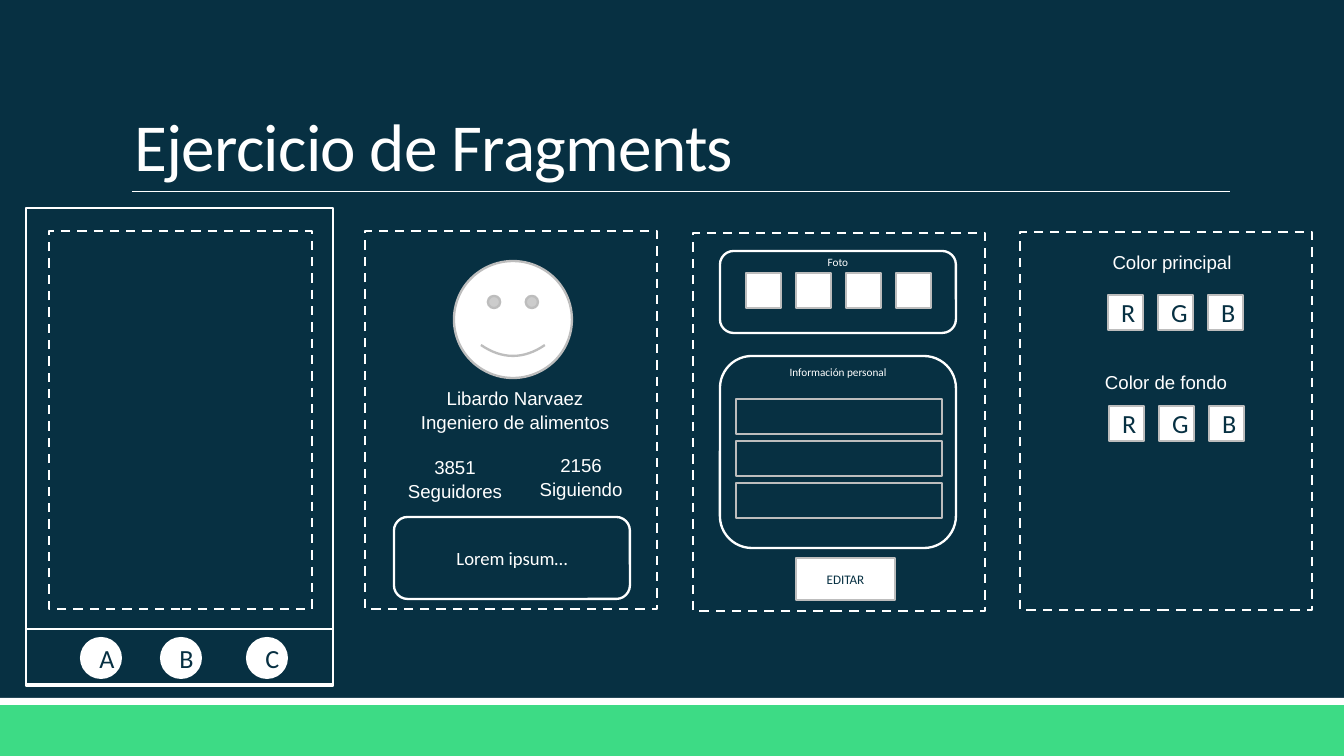
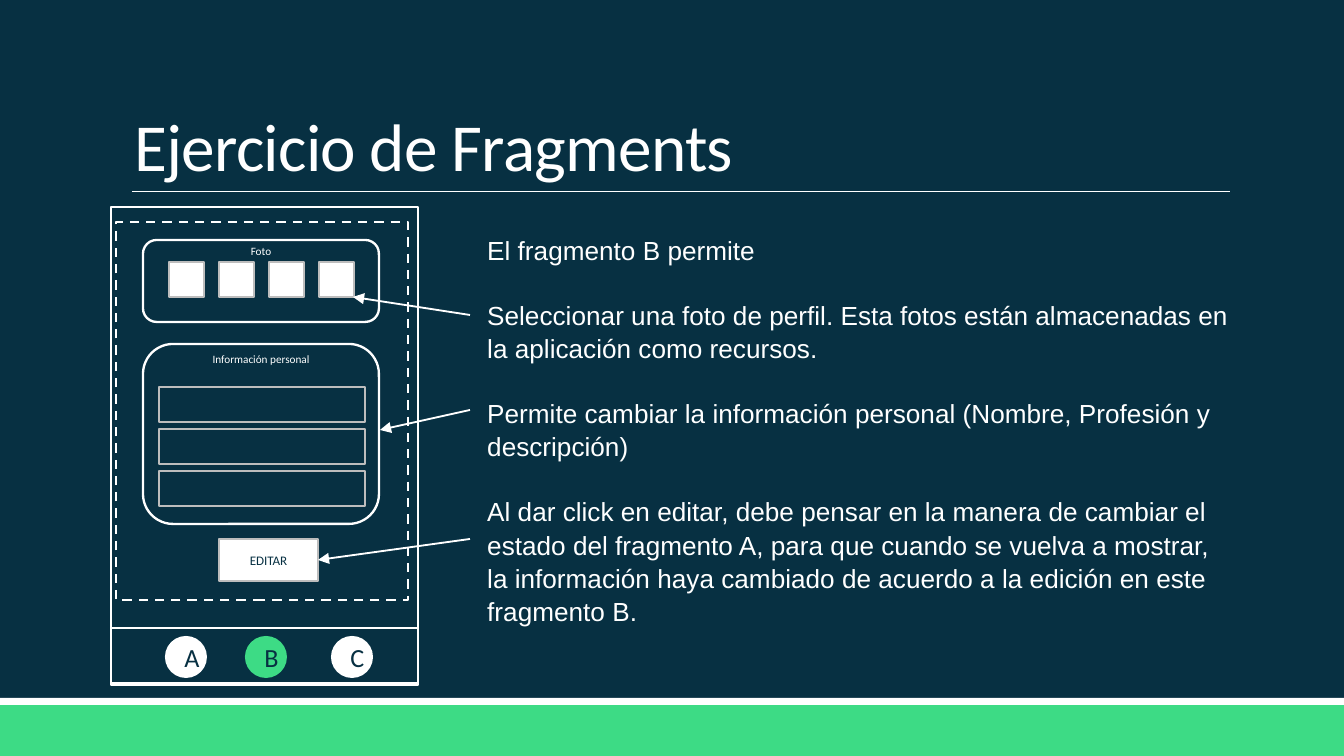
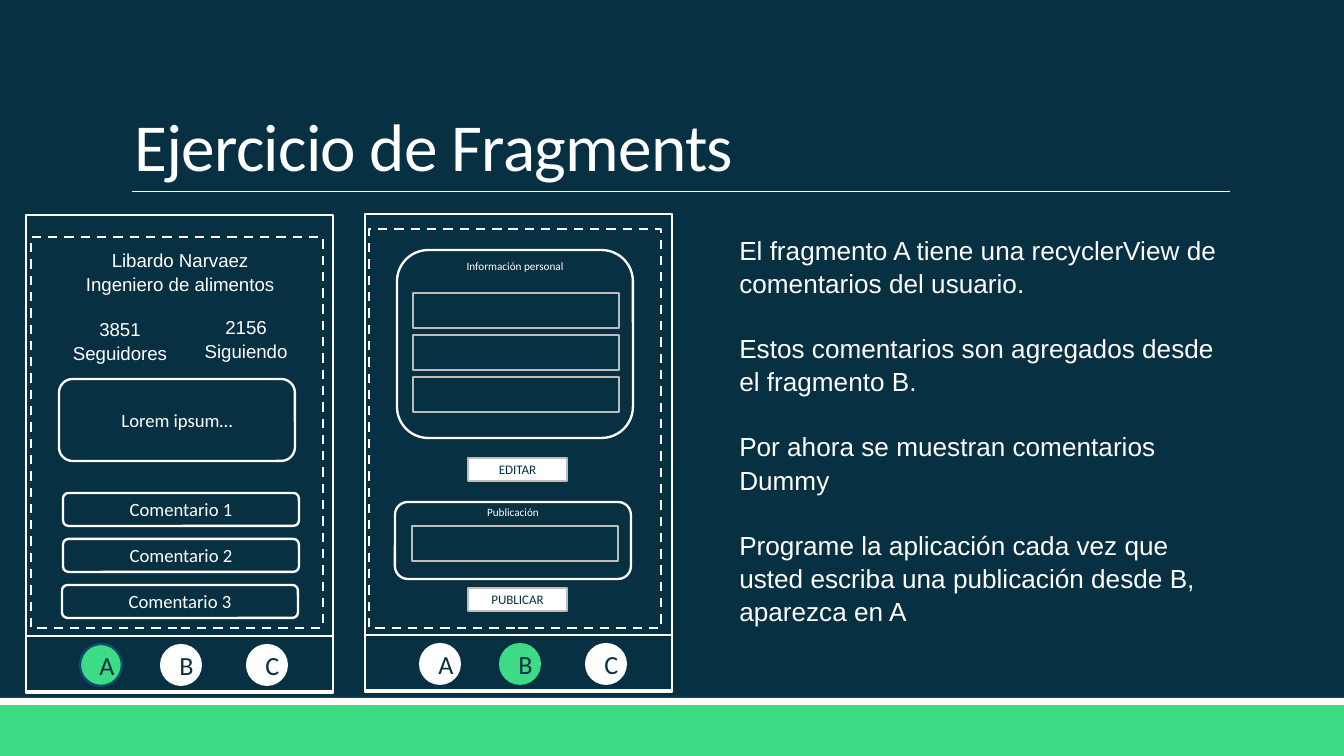
from lxml import etree
from pptx import Presentation
from pptx import util as u
from pptx.dml.color import RGBColor
from pptx.enum import dml, shapes, text
from pptx.oxml import ns

PX = 914400 / 134.4
SLIDE_WIDTH, SLIDE_HEIGHT = 1344, 756

NAVY = RGBColor(0x07, 0x30, 0x42)
GREEN = RGBColor(0x3D, 0xDB, 0x85)
WHITE = RGBColor(0xFF, 0xFF, 0xFF)
GRAY = RGBColor(0xBD, 0xBD, 0xBD)
BLUE = RGBColor(0x0B, 0x4D, 0x6A)

RECT = shapes.MSO_SHAPE.RECTANGLE
ROUND = shapes.MSO_SHAPE.ROUNDED_RECTANGLE
OVAL = shapes.MSO_SHAPE.OVAL
SMILEY = shapes.MSO_SHAPE.SMILEY_FACE
LEFT, CENTER = text.PP_ALIGN.LEFT, text.PP_ALIGN.CENTER
TOP, MIDDLE, BOTTOM = (text.MSO_ANCHOR.TOP, text.MSO_ANCHOR.MIDDLE,
                       text.MSO_ANCHOR.BOTTOM)

PANEL_WIDTH = 236
CARD_WIDTH, CARD_HEIGHT = 292, 378
FIELD_SIZE, FIELD_PITCH = (206, 35), 42
SQUARE, SQUARE_PITCH = 35, 50
TAB_OFFSETS = {"A": 54, "B": 134, "C": 220}

FRAGMENT_B_NOTES = [
    "El fragmento B permite",
    "Seleccionar una foto de perfil. Esta fotos están almacenadas en la "
    "aplicación como recursos.",
    "Permite cambiar la información personal (Nombre, Profesión y descripción)",
    "Al dar click en editar, debe pensar en la manera de cambiar el estado del "
    "fragmento A, para que cuando se vuelva a mostrar, la información haya "
    "cambiado de acuerdo a la edición en este fragmento B.",
]
COMMENT_NOTES = [
    "El fragmento A tiene una recyclerView de comentarios del usuario.",
    "Estos comentarios son agregados desde el fragmento B.",
    "Por ahora se muestran comentarios Dummy",
    "Programe la aplicación cada vez que usted escriba una publicación desde B, "
    "aparezca en A",
]


def px(*lengths):
    """Turn whole pixels into EMU."""
    return [round(length * PX) for length in lengths]


def write_text(shape, lines, size=10, font="Calibri", color=WHITE, align=CENTER,
               anchor=MIDDLE, spacing=None, after=0, tracking=None, wrap=True):
    """Fill a shape with one formatted paragraph per line."""
    frame = shape.text_frame
    frame.word_wrap = wrap
    frame.vertical_anchor = anchor
    for index, line in enumerate(lines):
        paragraph = frame.add_paragraph() if index else frame.paragraphs[0]
        paragraph.alignment = align
        paragraph.line_spacing = spacing
        if index < len(lines) - 1:
            paragraph.space_after = u.Pt(after)
        run = paragraph.add_run()
        run.text = line
        run.font.size = u.Pt(size)
        run.font.name = font
        run.font.color.rgb = color
        if tracking is not None:
            run.font._element.set("spc", str(tracking))


def add_box(slide, preset, *bounds, fill=None, line=WHITE, dashed=False):
    """Add a preset shape with a plain fill and outline."""
    shape = slide.shapes.add_shape(preset, *px(*bounds))
    shape.shadow.inherit = False
    if fill is None:
        shape.fill.background()
    else:
        shape.fill.solid()
        shape.fill.fore_color.rgb = fill
    if line is None:
        shape.line.fill.background()
    else:
        shape.line.color.rgb = line
        shape.line.width = u.Pt(1.25)
    if dashed:
        shape.line.dash_style = dml.MSO_LINE.DASH
    return shape


def add_label(slide, bounds, lines, **style):
    """Add a text box."""
    label = slide.shapes.add_textbox(*px(*bounds))
    write_text(label, lines, **style)


def add_small_label(slide, bounds, *lines, wrap=True):
    """Add a centred label in the mock-up's reading font."""
    add_label(slide, bounds, lines, font="Arial", anchor=TOP, spacing=1.06, wrap=wrap)


def add_notes(slide, left, width, lines):
    """Add the explanation beside the mock-ups."""
    add_label(slide, (left, 226, width, 394), lines, size=14, font="Arial",
              align=LEFT, anchor=TOP, spacing=1.06, after=17)


def add_line(slide, *ends, width=1, arrow=False):
    """Add a straight white line, with an arrowhead at its end if asked."""
    line = slide.shapes.add_connector(shapes.MSO_CONNECTOR.STRAIGHT, *px(*ends))
    line.line.color.rgb = WHITE
    line.line.width = u.Pt(width)
    if arrow:
        head = etree.SubElement(line.line._get_or_add_ln(), ns.qn("a:tailEnd"))
        head.set("type", "triangle")
    etree.SubElement(line._element.spPr, ns.qn("a:effectLst"))


def add_base_slide(presentation):
    """Add a slide with the shared footer bands, title and rule."""
    slide = presentation.slides.add_slide(presentation.slide_layouts[6])
    add_box(slide, RECT, 0, 705, SLIDE_WIDTH, 51, fill=GREEN, line=None)
    add_box(slide, RECT, 0, 698, SLIDE_WIDTH, 7, fill=WHITE, line=None)
    add_line(slide, 132, 192, 1230, 192, width=0.5)
    add_label(slide, (121, 32, 1109, 160), ["Ejercicio de Fragments"], size=36,
              align=LEFT, anchor=BOTTOM, spacing=0.85, tracking=-40)
    return slide


def add_phone(slide, left, top, selected=None, ring=None):
    """Add a phone outline with its tab bar."""
    add_box(slide, RECT, left, top, 307, 476)
    add_box(slide, RECT, left, top + 421, 307, 57)
    for letter, offset in TAB_OFFSETS.items():
        active = letter == selected
        tab = add_box(slide, OVAL, left + offset, top + 429, 42, 42,
                      fill=GREEN if active else WHITE, line=ring if active else None)
        write_text(tab, [letter], size=14, color=NAVY)


def add_card(slide, left, top, width=CARD_WIDTH, height=CARD_HEIGHT):
    """Add the dashed outline of a fragment."""
    add_box(slide, RECT, left, top, width, height, dashed=True)


def add_rounded(slide, left, top, height, caption):
    """Add a rounded box with centred text."""
    write_text(add_box(slide, ROUND, left, top, PANEL_WIDTH, height), [caption])


def add_panel(slide, left, top, height, caption):
    """Add a rounded panel with a small caption at its top."""
    panel = add_box(slide, ROUND, left, top, PANEL_WIDTH, height)
    panel.text_frame.margin_top = 0
    write_text(panel, [caption], size=6, anchor=TOP)


def add_fields(slide, left, top, count):
    """Add a column of empty input fields."""
    for row in range(count):
        add_box(slide, RECT, left, top + row * FIELD_PITCH, *FIELD_SIZE, line=GRAY)


def add_squares(slide, left, top, letters):
    """Add a row of white squares, lettered where a letter is given."""
    for column, letter in enumerate(letters):
        square = add_box(slide, RECT, left + column * SQUARE_PITCH, top,
                         SQUARE, SQUARE, fill=WHITE, line=GRAY)
        if letter:
            write_text(square, [letter], size=14, color=NAVY)


def add_button(slide, left, top, height, caption):
    """Add a white push button."""
    button = add_box(slide, RECT, left, top, 99, height, fill=WHITE, line=GRAY)
    write_text(button, [caption], size=7, color=NAVY)


def add_photo_panel(slide, left, top):
    """Add the photo picker."""
    add_panel(slide, left, top, 82, "Foto")
    add_squares(slide, left + 26, top + 22, [None] * 4)


def add_info_panel(slide, left, top, height):
    """Add the personal information form."""
    add_panel(slide, left, top, height, "Información personal")
    add_fields(slide, left + 16, top + 43, 3)


def add_profile(slide, left, top):
    """Add the user's name, counters and description."""
    add_small_label(slide, (left, top, 280, 59),
                    "Libardo Narvaez", "Ingeniero de alimentos")
    add_small_label(slide, (left + 19, top + 69, 122, 59),
                    "3851", "Seguidores", wrap=False)
    add_small_label(slide, (left + 151, top + 67, 110, 59),
                    "2156", "Siguiendo", wrap=False)
    add_rounded(slide, left + 19, top + 138, 82, "Lorem ipsum…")


def build_overview(presentation):
    """Show the empty phone and its three fragments."""
    slide = add_base_slide(presentation)
    add_phone(slide, 26, 208)
    add_card(slide, 49, 231, width=263)

    add_card(slide, 365, 231)
    add_box(slide, SMILEY, 454, 261, 118, 117, fill=WHITE, line=GRAY)
    add_profile(slide, 375, 379)

    add_card(slide, 693, 233)
    add_photo_panel(slide, 720, 251)
    add_info_panel(slide, 720, 356, 192)
    add_button(slide, 796, 558, 42, "EDITAR")

    add_card(slide, 1020, 232)
    add_small_label(slide, (1032, 243, 280, 36), "Color principal")
    add_squares(slide, 1108, 295, "RGB")
    add_small_label(slide, (1026, 363, 280, 36), "Color de fondo")
    add_squares(slide, 1109, 406, "RGB")


def build_edit_fragment(presentation):
    """Explain the editing fragment."""
    slide = add_base_slide(presentation)
    add_phone(slide, 111, 207, selected="B")
    add_card(slide, 116, 222)
    add_photo_panel(slide, 143, 240)
    add_info_panel(slide, 143, 344, 180)
    add_button(slide, 219, 539, 42, "EDITAR")
    add_notes(slide, 474, 769, FRAGMENT_B_NOTES)
    for ends in ((470, 315, 353, 297), (470, 410, 380, 430), (470, 539, 318, 560)):
        add_line(slide, *ends, arrow=True)


def build_comments(presentation):
    """Explain how published comments reach the profile."""
    slide = add_base_slide(presentation)
    add_notes(slide, 726, 517, COMMENT_NOTES)

    add_phone(slide, 26, 215, selected="A", ring=BLUE)
    add_card(slide, 31, 237, height=391)
    add_profile(slide, 40, 241)
    for number, left in enumerate((63, 63, 62), start=1):
        add_rounded(slide, left, 447 + number * 46, 33, f"Comentario {number}")

    add_phone(slide, 365, 214, selected="B")
    add_card(slide, 369, 229, height=399)
    add_info_panel(slide, 397, 250, 188)
    add_button(slide, 468, 458, 23, "EDITAR")
    add_panel(slide, 395, 502, 77, "Publicación")
    add_fields(slide, 412, 526, 1)
    add_button(slide, 468, 588, 23, "PUBLICAR")


def main():
    """Build and save the presentation."""
    presentation = Presentation()
    presentation.slide_width, presentation.slide_height = px(SLIDE_WIDTH, SLIDE_HEIGHT)
    background = presentation.slide_master.background.fill
    background.solid()
    background.fore_color.rgb = NAVY
    build_overview(presentation)
    build_edit_fragment(presentation)
    build_comments(presentation)
    presentation.save("out.pptx")


if __name__ == "__main__":
    main()
